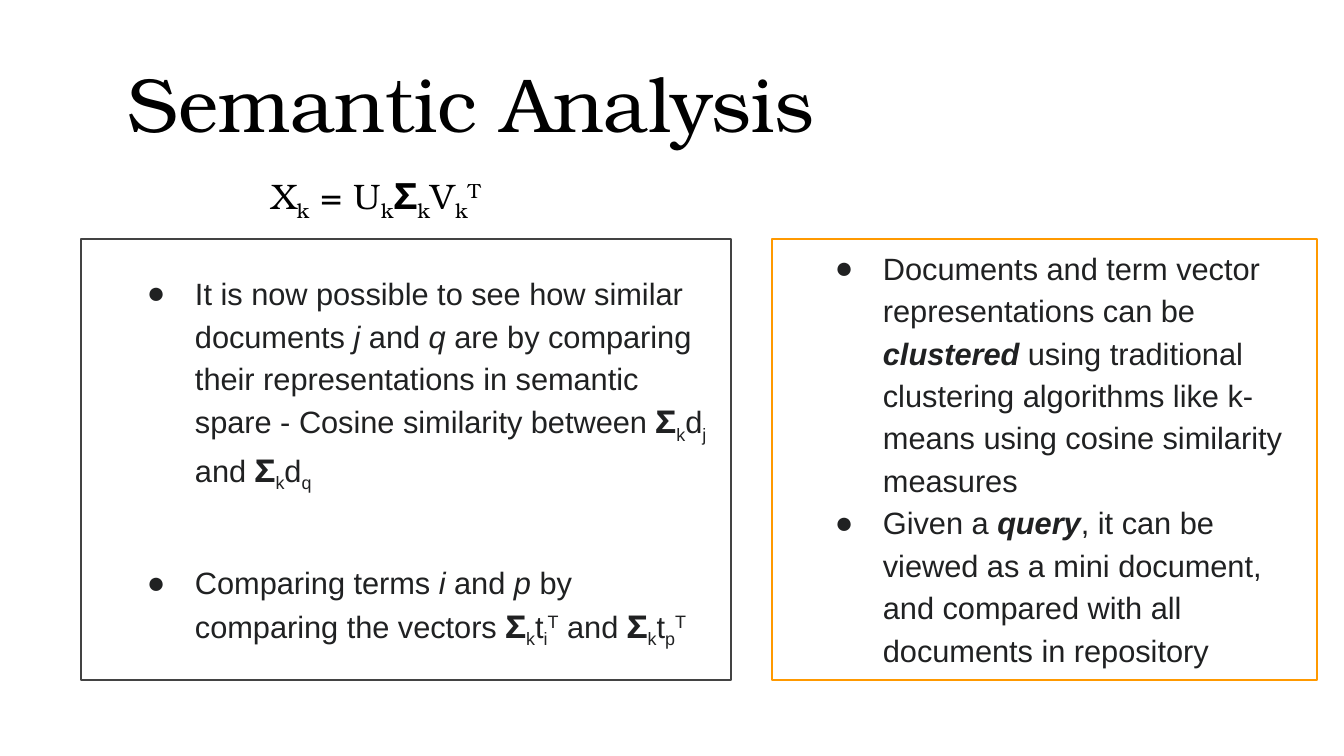
from typing import NamedTuple

from lxml.etree import SubElement
from pptx import Presentation
from pptx.dml.color import RGBColor
from pptx.enum.shapes import MSO_SHAPE as Shape
from pptx.enum.text import MSO_ANCHOR as Anchor, MSO_AUTO_SIZE as AutoSize, PP_ALIGN as Align
from pptx.oxml.ns import qn
from pptx.util import Emu, Pt

PX = 914400 / 134.4
SERIF, SANS = "TeX Gyre Bonum", "Arial"
BLACK, INK = "000000", "202122"


class Run(NamedTuple):
    text: str
    bold: bool = False
    italic: bool = False
    base: int = 0  # baseline shift in percent


class Panel(NamedTuple):
    left: int
    width: int
    line: str
    anchor: Anchor
    insets: tuple[int, int]
    gap: float  # points between the bullets
    bullets: list[list[Run]]


def px(n: float) -> Emu:
    return Emu(round(n * PX))


def color(value: str) -> RGBColor:
    return RGBColor.from_string(value)


def sub(text: str) -> Run:
    return Run(text, base=-25)


def sup(text: str) -> Run:
    return Run(text, base=30)


def italic(text: str) -> Run:
    return Run(text, italic=True)


def strong(text: str) -> Run:
    return Run(text, bold=True, italic=True)


def set_frame(tf, insets: tuple[int, int], anchor: Anchor) -> None:
    tf.word_wrap = True
    tf.auto_size = AutoSize.NONE
    tf.vertical_anchor = anchor
    tf.margin_left = tf.margin_right = px(insets[0])
    tf.margin_top = tf.margin_bottom = px(insets[1])


def add_bullet(p) -> None:
    pPr = p._p.get_or_add_pPr()
    pPr.set("marL", str(px(101)))
    pPr.set("indent", str(px(-48)))
    clr = SubElement(pPr, qn("a:buClr"))
    SubElement(clr, qn("a:srgbClr"), val=INK)
    SubElement(pPr, qn("a:buFont"), typeface=SANS)
    SubElement(pPr, qn("a:buChar"), char="●")


def write(p, runs: list[Run], *, size: float, font: str, ink: str,
          spacing: float = 1.0, before: float = 0) -> None:
    p.alignment = Align.LEFT
    p.line_spacing = spacing
    p.space_before = Pt(before)
    for run in runs:
        r = p.add_run()
        r.text = run.text
        f = r.font
        f.size, f.name, f.bold, f.italic = Pt(size), font, run.bold, run.italic
        f.color.rgb = color(ink)
        if run.base:
            r._r.get_or_add_rPr().set("baseline", str(run.base * 1000))


def draw_panel(slide, panel: Panel) -> None:
    sp = slide.shapes.add_shape(Shape.RECTANGLE, px(panel.left), px(239),
                                px(panel.width), px(441))
    sp.shadow.inherit = False
    sp.fill.background()
    sp.line.color.rgb = color(panel.line)
    sp.line.width = Pt(0.75)
    tf = sp.text_frame
    set_frame(tf, panel.insets, panel.anchor)
    for i, runs in enumerate(panel.bullets):
        p = tf.add_paragraph() if i else tf.paragraphs[0]
        add_bullet(p)
        write(p, runs, size=16.5, font=SANS, ink=INK, spacing=1.15,
              before=panel.gap if i else 0)


SIGMA_K = [Run("𝚺"), sub("k")]

FORMULA = [Run("X"), sub("k"), Run(" = U"), sub("k"), *SIGMA_K, Run("V"), sub("k"), sup("T")]

PANELS = [
    Panel(772, 545, "FF9900", Anchor.TOP, (10, 5), 0, [
        [Run("Documents and term vector representations can be "), strong("clustered "),
         Run("using traditional clustering algorithms like k-means "
             "using cosine similarity measures")],
        [Run("Given a "), strong("query"),
         Run(", it can be viewed as a mini document, "
             "and compared with all documents in repository")],
    ]),
    Panel(81, 650, "434343", Anchor.MIDDLE, (13, 13), 35, [
        [Run("It is now possible to see how similar documents "), italic("j"),
         Run(" and "), italic("q"),
         Run(" are by comparing their representations in semantic spare - "
             "Cosine similarity between "),
         *SIGMA_K, Run("d"), sub("j"), Run(" and "), *SIGMA_K, Run("d"), sub("q")],
        [Run("Comparing terms "), italic("i"), Run(" and "), italic("p"),
         Run(" by comparing the vectors "),
         *SIGMA_K, Run("t"), sub("i"), sup("T"), Run(" and "),
         *SIGMA_K, Run("t"), sub("p"), sup("T")],
    ]),
]


def main() -> None:
    prs = Presentation()
    prs.slide_width, prs.slide_height = px(1344), px(756)
    slide = prs.slides.add_slide(prs.slide_layouts[5])

    title = slide.shapes.title
    title.left, title.top, title.width, title.height = px(118), px(54), px(1109), px(107)
    set_frame(title.text_frame, (10, 5), Anchor.MIDDLE)
    write(title.text_frame.paragraphs[0], [Run("Semantic Analysis")],
          size=41, font=SERIF, ink=BLACK, spacing=0.9)

    formula = slide.shapes.add_textbox(px(258), px(161), px(250), px(70))
    set_frame(formula.text_frame, (13, 13), Anchor.TOP)
    write(formula.text_frame.paragraphs[0], FORMULA, size=19, font=SERIF, ink=BLACK)

    for panel in PANELS:
        draw_panel(slide, panel)
    prs.save("out.pptx")


if __name__ == "__main__":
    main()
